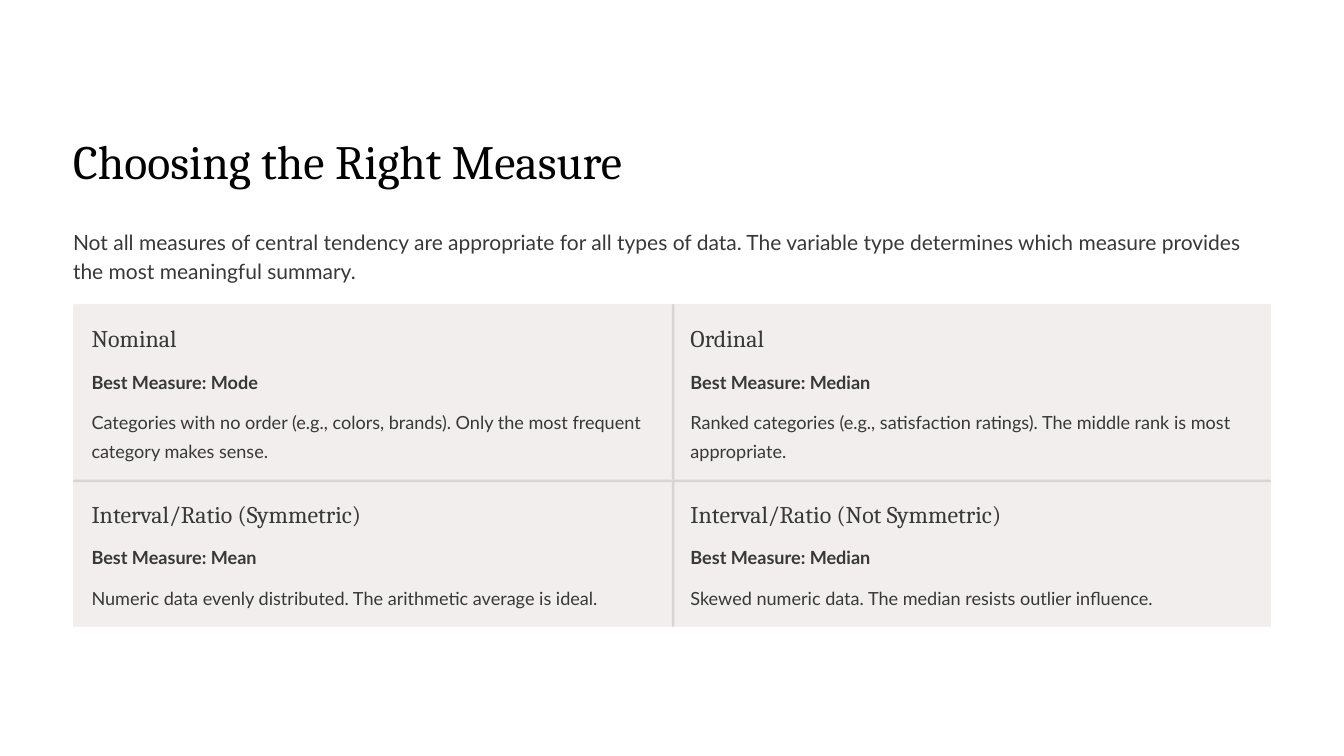
from dataclasses import dataclass

from pptx import Presentation
from pptx.dml.color import RGBColor
from pptx.enum.shapes import MSO_SHAPE
from pptx.enum.text import MSO_ANCHOR, MSO_AUTO_SIZE, PP_ALIGN
from pptx.util import Inches, Pt

RECT = MSO_SHAPE.RECTANGLE
ROUNDED = MSO_SHAPE.ROUNDED_RECTANGLE
TOP = MSO_ANCHOR.TOP
LEFT = PP_ALIGN.LEFT
NO_FIT = MSO_AUTO_SIZE.NONE


@dataclass(frozen=True)
class TextStyle:
    font: str
    size: float
    leading: float
    color: str = "383838"
    bold: bool = False


class Theme:
    background = "FFFFFF"
    panel = "F2EEEE"
    divider = "D8D4D4"
    title = TextStyle("Cambria", 41, 51, "020202")
    intro = TextStyle("Lato", 18, 25)
    heading = TextStyle("Cambria", 20.5, 25.5)
    measure = TextStyle("Lato", 15.5, 25, bold=True)
    detail = TextStyle("Lato", 15.5, 25)


TITLE = "Choosing the Right Measure"
INTRO = ("Not all measures of central tendency are appropriate for all types of data. "
         "The variable type determines which measure provides the most meaningful summary.")
# Rows of (variable type, best measure, explanation)
MEASURES = [
    [("Nominal", "Best Measure: Mode",
      "Categories with no order (e.g., colors, brands). "
      "Only the most frequent category makes sense."),
     ("Ordinal", "Best Measure: Median",
      "Ranked categories (e.g., satisfaction ratings). The middle rank is most appropriate.")],
    [("Interval/Ratio (Symmetric)", "Best Measure: Mean",
      "Numeric data evenly distributed. The arithmetic average is ideal."),
     ("Interval/Ratio (Not Symmetric)", "Best Measure: Median",
      "Skewed numeric data. The median resists outlier influence.")],
]

MARGIN = 0.87
CONTENT_WIDTH = 16 - 2 * MARGIN
GRID_TOP = 3.62
ROW_HEIGHTS = [2.09, 1.75]
PADDING = 0.22
DIVIDER_WIDTH = 0.03
CORNER = 0.03


def place(shape, left, top, width, height):
    shape.left, shape.top = Inches(left), Inches(top)
    shape.width, shape.height = Inches(width), Inches(height)


def write(shape, text, style, wrap=True):
    frame = shape.text_frame
    frame.text = text
    frame.word_wrap = wrap
    frame.auto_size = NO_FIT
    frame.vertical_anchor = TOP
    frame.margin_left = frame.margin_right = 0
    frame.margin_top = frame.margin_bottom = 0
    paragraph = frame.paragraphs[0]
    paragraph.alignment = LEFT
    paragraph.line_spacing = Pt(style.leading)
    font = paragraph.runs[0].font
    font.name, font.size, font.bold = style.font, Pt(style.size), style.bold
    font.color.rgb = RGBColor.from_string(style.color)


def add_text(slide, text, style, left, top, width, height, wrap=True):
    box = slide.shapes.add_textbox(
        Inches(left), Inches(top), Inches(width), Inches(height))
    write(box, text, style, wrap)


def add_block(slide, kind, color, left, top, width, height):
    block = slide.shapes.add_shape(
        kind, Inches(left), Inches(top), Inches(width), Inches(height))
    block.shadow.inherit = False
    block.fill.solid()
    block.fill.fore_color.rgb = RGBColor.from_string(color)
    block.line.fill.background()
    if kind == ROUNDED:
        block.adjustments[0] = min(0.5, CORNER / min(width, height))


def add_header(slide, left, top, width):
    title = slide.shapes.title
    place(title, left, top, 7.16, 0.71)
    write(title, TITLE, Theme.title, wrap=False)
    add_text(slide, INTRO, Theme.intro, left, top + 1.14, width, 0.69)


def add_measure_text(slide, entry, left, top, width, height):
    heading, measure, detail = entry
    text_left, text_width = left + PADDING, width - 2 * PADDING + 0.01
    text_top = top + PADDING
    detail_top = text_top + 0.97
    add_text(slide, heading, Theme.heading, text_left, text_top, text_width, 0.36, False)
    add_text(slide, measure, Theme.measure, text_left, text_top + 0.49, text_width, 0.35, False)
    add_text(slide, detail, Theme.detail, text_left, detail_top,
             text_width, top + height - PADDING - detail_top)


def add_measure_grid(slide, left, top, width, row_heights):
    cell_width = width / 2
    add_block(slide, ROUNDED, Theme.panel, left, top, width, sum(row_heights))

    # One cell for each variable type, divided from its left and upper neighbours
    cell_top = top
    for row, (entries, height) in enumerate(zip(MEASURES, row_heights)):
        for column, entry in enumerate(entries):
            cell_left = left + column * cell_width
            kind = RECT if row or column else ROUNDED
            add_block(slide, kind, Theme.panel, cell_left, cell_top, cell_width, height)
            if column:
                add_block(slide, ROUNDED, Theme.divider, cell_left, cell_top,
                          DIVIDER_WIDTH, height)
            if row:
                add_block(slide, ROUNDED, Theme.divider, cell_left, cell_top,
                          cell_width, DIVIDER_WIDTH)
            add_measure_text(slide, entry, cell_left, cell_top, cell_width, height)
        cell_top += height


def main():
    deck = Presentation()
    deck.slide_width, deck.slide_height = Inches(16), Inches(9)
    slide = deck.slides.add_slide(deck.slide_layouts[5])
    slide.background.fill.solid()
    slide.background.fill.fore_color.rgb = RGBColor.from_string(Theme.background)
    add_header(slide, MARGIN, 1.54, CONTENT_WIDTH)
    add_measure_grid(slide, MARGIN, GRID_TOP, CONTENT_WIDTH, ROW_HEIGHTS)
    deck.save("out.pptx")


if __name__ == "__main__":
    main()
